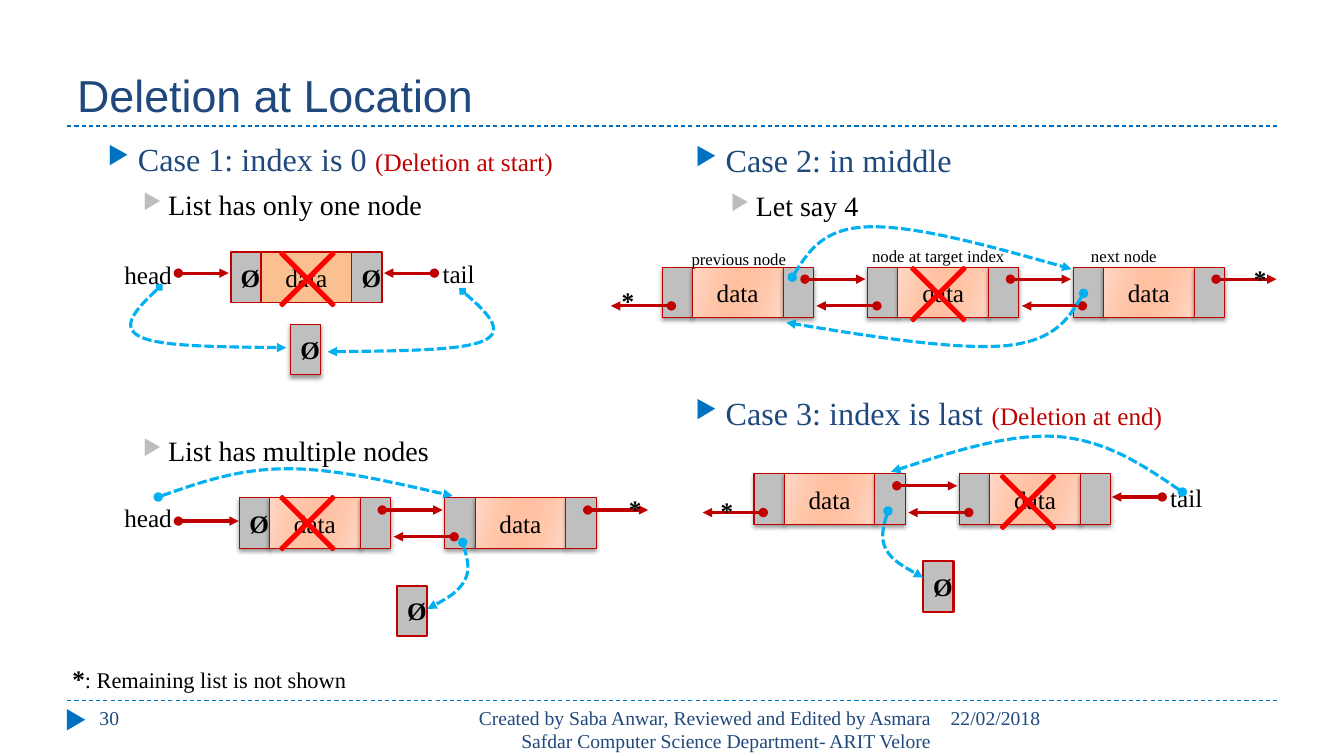
"""Builds the slide on deleting a node at a location in a doubly linked list."""
from lxml import etree
from pptx import Presentation
from pptx import util as u
from pptx.dml.color import RGBColor
from pptx.enum import dml, shapes, text
from pptx.oxml.ns import qn

COLORS = {"navy": "1F497D", "blue": "0070C0", "sky": "00B0F0", "red": "C00000",
          "cross": "FF0000", "black": "000000", "gray": "BFBFBF", "bullet": "BDBDBD",
          "orange": "FAC090"}
PEACH = [(0, "FFD7C5"), (30, "FFC6AA"), (45, "FFC1A1"),
         (55, "FFC1A1"), (73, "FFC6AA"), (100, "FFD7C5")]
SERIF = "Times New Roman"
LEFT, CENTER, RIGHT = text.PP_ALIGN.LEFT, text.PP_ALIGN.CENTER, text.PP_ALIGN.RIGHT
TOP, MIDDLE, BOTTOM = text.MSO_ANCHOR.TOP, text.MSO_ANCHOR.MIDDLE, text.MSO_ANCHOR.BOTTOM

TITLE = "Deletion at Location"
FOOTERS = [
    ("30", (64, 500.4, 208, 28.8), LEFT),
    ("Created by Saba Anwar, Reviewed and Edited by Asmara "
     "Safdar Computer Science Department- ARIT Velore", (304.5, 500.4, 368, 28.8), RIGHT),
    ("22/02/2018", (672, 500.4, 240.5, 28.8), LEFT),
]
OUTLINES = [
    ((48.2, 95.8, 420.5, 388.8), [
        (1, 3, "Case 1: index is 0 ", "(Deletion at start)"),
        (2, 7, "List has only one node", ""),
        (2, 152, "List has multiple nodes", "")]),
    ((468, 96.5, 444.2, 388.8), [
        (1, 3, "Case 2: in middle", ""),
        (2, 7, "Let say 4", ""),
        (1, 122, "Case 3: index is last ", "(Deletion at end)")]),
]
LEVELS = {1: (43.2, -21.6, 23, "navy", "blue"), 2: (64.8, -18, 20, "black", "bullet")}

NULL = "Ø"
LINK_W, DATA_W, NODE_H, PITCH = 21.6, 64.8, 36, 146.8
LISTS = [
    (473, 190.8, [("", "prev next"), ("", "prev next"), ("", "prev next")]),
    (171, 355.7, [(NULL, "next"), ("", "prev next")]),
    (538.6, 338.4, [("", "prev next"), ("", "prev")]),
]
LINKS = {"prev": (6.6, 27.7, -43.2), "next": (102, 8.6, 43.2)}
SINGLE_NODE = (164.9, 180)
END_POINTERS = [(127.4, 195.1, 36), (310.3, 195.1, -36), (127.4, 372.2, 43.2), (830.2, 355, -36)]
NULL_BOXES = [(207.4, 231.8, 0.75, True), (283.7, 418.3, 1.5, False), (659.5, 401, 1.5, False)]
CROSSES = [(183.6, 163.4), (183.6, 337.7), (634.3, 174.2), (698.4, 322.6)]
POINTER_LABELS = [("head", 80.6, 185), ("tail", 302.4, 184.3),
                  ("head", 80.6, 358.6), ("tail", 822.2, 344.2)]
NODE_LABELS = [("previous node", 477.4, 173.5, 100.8), ("node at target index", 612.7, 171.4, 115.2),
               ("next node", 752.4, 171.4, 100.8)]
STARS = [(437, 200.2), (888.5, 184.3), (442.1, 348.5), (507.6, 350.6)]
FOOTNOTE = ("*", ": Remaining list is not shown")
REROUTES = [
    ("diamond", [(113.8, 205.2), (99.4, 218.9), (85, 233.3), (100.1, 240.5),
                 (114.5, 247.7), (159.8, 247.7), (204.5, 248.4)]),
    ("diamond", [(330.5, 208.1), (346.3, 221.8), (361.4, 236.2), (345.6, 243.4),
                 (329.8, 250.6), (281.5, 250.6), (234, 251.3)]),
    ("oval", [(330.5, 387.4), (333.4, 397.4), (336.2, 406.8), (331.9, 414.7),
              (327.6, 422.6), (316.8, 429.1), (305.3, 434.9)]),
    ("oval", [(113, 355), (141.8, 344.9), (170.6, 334.8), (205.2, 334.8),
              (240.5, 334.8), (281.5, 344.9), (323.3, 354.2)]),
    ("oval", [(565.9, 198), (576.7, 180.7), (588.2, 162.7), (621.4, 162),
              (654.5, 161.3), (709.9, 176.4), (765.4, 192.2)]),
    ("oval", [(774, 209.5), (763.9, 226.8), (753.1, 243.4), (717.8, 247),
              (682.6, 249.8), (622.1, 240.5), (561.6, 230.4)]),
    ("oval", [(634.3, 365), (631.4, 374.4), (628.6, 384.5), (632.9, 392.4),
              (637.2, 400.3), (648, 406.1), (659.5, 412.6)]),
    ("oval", [(844.6, 351.4), (817.2, 332.6), (789.8, 314.6), (755.3, 311.8),
              (720.7, 309.6), (678.2, 323.3), (636.5, 337)]),
]

prs = Presentation()
prs.slide_width, prs.slide_height = u.Pt(960), u.Pt(540)
slide = prs.slides.add_slide(prs.slide_layouts[6])


def points(*values):
    return [u.Pt(value) for value in values]


def child(parent, tag, **attributes):
    return etree.SubElement(parent, qn(tag), attributes)


def add_run(paragraph, words, size, color="black", bold=False, font=SERIF):
    run = paragraph.add_run()
    run.text = words
    run.font.name, run.font.size, run.font.bold = font, u.Pt(size), bold
    run.font.color.rgb = RGBColor.from_string(COLORS[color])


def add_label(box, runs, align=LEFT, anchor=TOP, wrap=True):
    frame = slide.shapes.add_textbox(*points(*box)).text_frame
    frame.word_wrap, frame.vertical_anchor = wrap, anchor
    frame.paragraphs[0].alignment = align
    for run in runs:
        add_run(frame.paragraphs[0], *run)
    return frame


def style_line(line, color, width, dash=None):
    line.color.rgb = RGBColor.from_string(COLORS[color])
    line.width = u.Pt(width)
    if dash:
        line.dash_style = dash


def add_heads(shape, head):
    ln = shape.element.spPr.find(qn("a:ln"))
    child(ln, "a:headEnd", type=head)
    child(ln, "a:tailEnd", type="triangle")


def add_line(x, y, dx, color, width, dash=None, head=None):
    line = slide.shapes.add_connector(shapes.MSO_CONNECTOR.STRAIGHT, *points(x, y, x + dx, y))
    style_line(line.line, color, width, dash)
    if head:
        add_heads(line, head)
    child(line.element.spPr, "a:effectLst")


def add_block(kind, box, fill, border=None, width=0.75, shadow=False):
    block = slide.shapes.add_shape(kind, *points(*box))
    if fill == "peach":
        block.fill.gradient()
        block.fill.gradient_angle = 344
        stops = block.element.spPr.find(".//" + qn("a:gsLst"))
        stops.clear()
        for position, color in PEACH:
            child(child(stops, "a:gs", pos=str(position * 1000)), "a:srgbClr", val=color)
    else:
        block.fill.solid()
        block.fill.fore_color.rgb = RGBColor.from_string(COLORS[fill])
    if border:
        style_line(block.line, border, width)
    else:
        block.line.fill.background()
    block.shadow.inherit = False
    if shadow:
        effects = block.element.spPr.find(qn("a:effectLst"))
        outer = child(effects, "a:outerShdw", blurRad=str(u.Pt(3)), dist=str(u.Pt(2)),
                      dir="5400000", rotWithShape="0")
        child(child(outer, "a:srgbClr", val=COLORS["black"]), "a:alpha", val="40000")
    return block


def add_cell(x, y, cell_w, fill, words, width=0.75, shadow=True):
    cell = add_block(shapes.MSO_SHAPE.RECTANGLE, (x, y, cell_w, NODE_H), fill, "red", width, shadow)
    if words:
        paragraph = cell.text_frame.paragraphs[0]
        paragraph.alignment = CENTER
        add_run(paragraph, words, 18, bold=words == NULL)


def add_node(x, y, left, right, fill="peach", width=0.75, shadow=True):
    add_cell(x, y, LINK_W, "gray", left, width, shadow)
    add_cell(x + LINK_W, y, DATA_W, fill, "data", width, shadow)
    add_cell(x + LINK_W + DATA_W, y, LINK_W, "gray", right, width, shadow)


def add_reroute(head, route):
    start, *rest = [points(*point) for point in route]
    builder = slide.shapes.build_freeform(*start, scale=1.0)
    builder.add_line_segments(rest, close=False)
    curve = builder.convert_to_shape()
    segments = curve.element.findall(".//" + qn("a:lnTo"))
    for first in range(0, len(segments), 3):
        bezier = child(segments[0].getparent() if first == 0 else outline, "a:cubicBezTo")
        outline = bezier.getparent()
        for segment in segments[first:first + 3]:
            bezier.append(segment[0])
            outline.remove(segment)
    curve.fill.background()
    style_line(curve.line, "sky", 2.25, dml.MSO_LINE.SQUARE_DOT)
    add_heads(curve, head)
    curve.shadow.inherit = False


for rule_y in (90, 500.4):
    add_line(48, rule_y, 864, "blue", 0.75, dml.MSO_LINE.DASH)
add_block(shapes.MSO_SHAPE.ISOSCELES_TRIANGLE, (46.8, 507.6, 15.1, 13), "blue").rotation = 90
add_label((48, 12.2, 864, 77.8), [(TITLE, 32, "navy", False, "Arial")], anchor=BOTTOM)
for words, box, align in FOOTERS:
    add_label(box, [(words, 14, "navy")], align)

for box, items in OUTLINES:
    frame = add_label(box, [])
    for index, (level, gap, words, aside) in enumerate(items):
        paragraph = frame.add_paragraph() if index else frame.paragraphs[0]
        margin, indent, size, color, bullet = LEVELS[level]
        paragraph.level, paragraph.space_before = level - 1, u.Pt(gap)
        props = paragraph._p.get_or_add_pPr()
        props.set("marL", str(u.Pt(margin)))
        props.set("indent", str(u.Pt(indent)))
        child(child(props, "a:buClr"), "a:srgbClr", val=COLORS[bullet])
        child(props, "a:buSzPct", val="76000")
        child(props, "a:buChar", char="▶")
        add_run(paragraph, words, size, color)
        if aside:
            add_run(paragraph, aside, 18, "red")

add_node(*SINGLE_NODE, NULL, NULL, "orange", 1, False)
for x, y, nodes in LISTS:
    for index, (left, links) in enumerate(nodes):
        add_node(x + index * PITCH, y, left, "")
for x, y, width, shadow in NULL_BOXES:
    add_cell(x, y, LINK_W, "gray", NULL, width, shadow)
for x, y, nodes in LISTS:
    for index, (left, links) in enumerate(nodes):
        for link in links.split():
            dx, dy, reach = LINKS[link]
            add_line(x + index * PITCH + dx, y + dy, reach, "red", 2.25, head="oval")
for pointer in END_POINTERS:
    add_line(*pointer, "red", 2.25, head="oval")
for words, x, y in POINTER_LABELS:
    add_label((x, y, 50.4, 21.6), [(words, 18)], CENTER, MIDDLE)
for words, x, y, width in NODE_LABELS:
    add_label((x, y, width, 22.3), [(words, 12)], CENTER, MIDDLE)
for reroute in REROUTES:
    add_reroute(*reroute)
for x, y in CROSSES:
    cross = add_block(shapes.MSO_SHAPE.MATH_MULTIPLY, (x, y, 72, 72), "cross", "cross", 1.5)
    cross.adjustments[0] = 0.03
for x, y in STARS:
    add_label((x, y, 23.8, 28.8), [("*", 18, "black", True)], wrap=False)
add_label((44.6, 470.2, 213, 28.8), [(FOOTNOTE[0], 18, "black", True), (FOOTNOTE[1], 16)], wrap=False)

prs.save("out.pptx")
